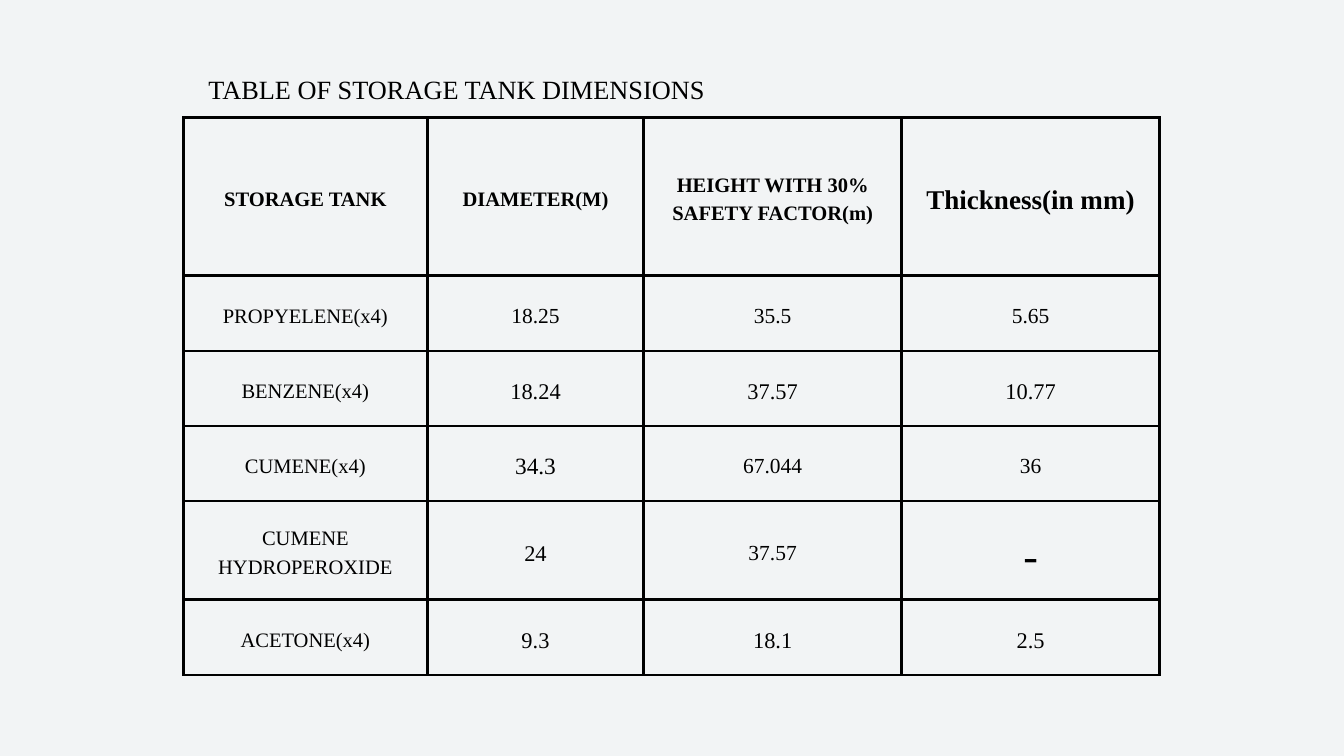
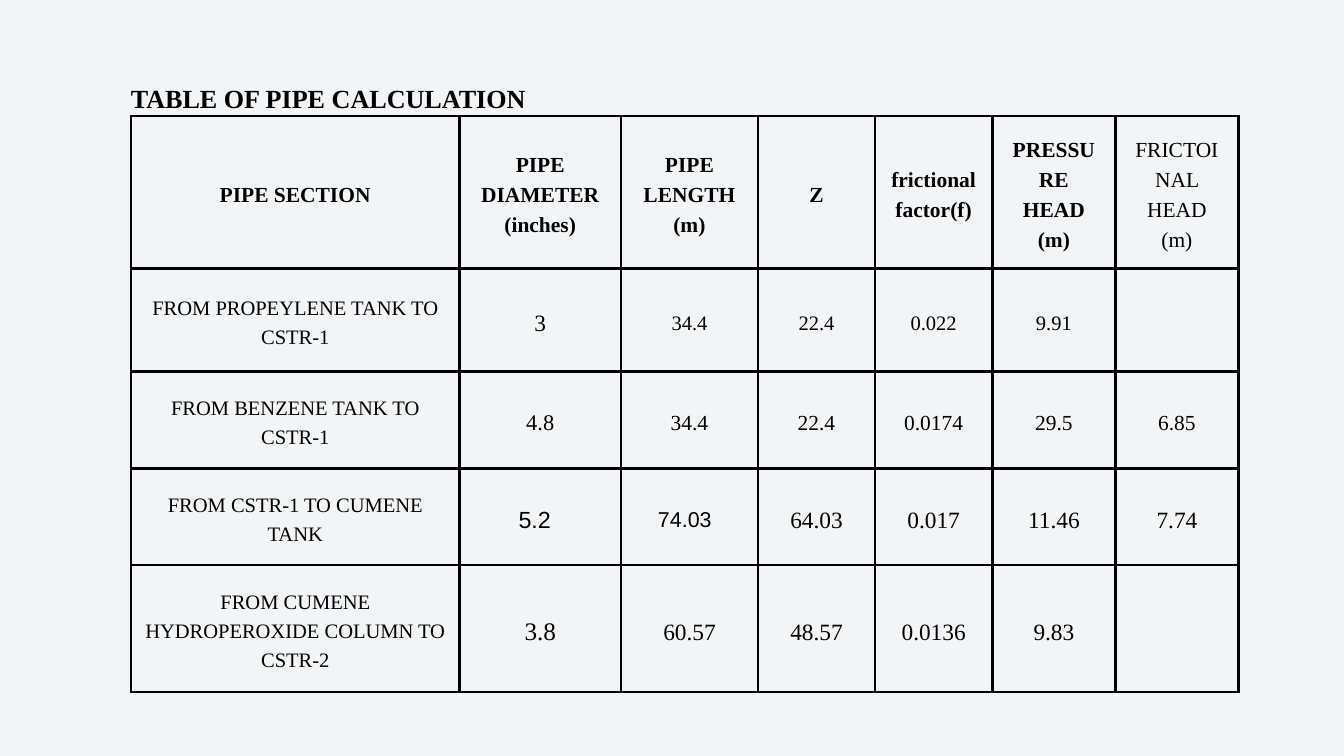
"""Build two slides of storage tank and pipe calculation tables."""
from lxml.etree import SubElement
from pptx import Presentation
from pptx.dml.color import RGBColor
from pptx.enum.text import MSO_ANCHOR, PP_ALIGN
from pptx.oxml.ns import qn
from pptx.util import Cm, Pt

BACKGROUND = RGBColor(0xF2, 0xF4, 0xF5)
INK = RGBColor(0, 0, 0)
SERIF = "Times New Roman"
LINE_RATIO = 1.4
CELL_MARGIN = Cm(0.53)
BORDER = Pt(3)


def write(frame, text, size=22, bold=False, font=SERIF, indent=None):
    """Write centred lines, or left-aligned ones when an indent is given."""
    frame.word_wrap = True
    for number, line in enumerate(text.split("\n")):
        paragraph = frame.paragraphs[0] if number == 0 else frame.add_paragraph()
        paragraph.alignment = PP_ALIGN.CENTER if indent is None else PP_ALIGN.LEFT
        if indent is not None:
            paragraph._p.get_or_add_pPr().set("marL", str(Cm(indent)))
        paragraph.line_spacing = Pt(size * LINE_RATIO)
        run = paragraph.add_run()
        run.text = line
        run.font.size = Pt(size)
        run.font.bold = bold
        run.font.name = font
        run.font.color.rgb = INK


def style_cell(cell):
    """Give a cell its margins, black borders and clear fill."""
    cell.vertical_anchor = MSO_ANCHOR.MIDDLE
    cell.margin_left = cell.margin_right = CELL_MARGIN
    cell.margin_top = cell.margin_bottom = CELL_MARGIN
    properties = cell._tc.get_or_add_tcPr()
    for side in ("a:lnL", "a:lnR", "a:lnT", "a:lnB"):
        edge = SubElement(properties, qn(side), w=str(BORDER))
        fill = SubElement(edge, qn("a:solidFill"))
        SubElement(fill, qn("a:srgbClr"), val=str(INK))
    cell.fill.background()


tanks = {
    "title": ("TABLE OF STORAGE TANK DIMENSIONS", {"size": 28.2}),
    "title_box": (6.93, 2.57, 20.65, 1.47),
    "corner": (6.93, 4.45),
    "columns": [9.22, 8.18, 9.75, 9.75],
    "heights": [5.97, 2.84, 2.84, 2.84, 3.73, 2.84],
    "header_size": 22,
    "header": ["STORAGE TANK", "DIAMETER(M)", "HEIGHT WITH 30% SAFETY FACTOR(m)",
               "Thickness(in mm)"],
    "rows": [
        (23, ["PROPYELENE(x4)", "18.25", "35.5", "5.65"]),
        (24, ["BENZENE(x4)", "18.24", "37.57", "10.77"]),
        (23, ["CUMENE(x4)", "34.3", "67.044", "36"]),
        (23, ["CUMENE HYDROPEROXIDE", "24", "37.57", "-"]),
        (24, ["ACETONE(x4)", "9.3", "18.1", "2.5"]),
    ],
    "exceptions": {
        (0, 3): {"size": 29},
        (3, 1): {"size": 25},
        (4, 1): {"size": 24},
        (4, 3): {"size": 47},
    },
}
pipes = {
    "title": ("TABLE OF PIPE CALCULATION", {"size": 28, "bold": True}),
    "title_box": (1.14, 2.9, 22.53, 1.5),
    "corner": (4.95, 4.39),
    "columns": [12.42, 6.1, 5.18, 4.42, 4.44, 4.65, 4.65],
    "heights": [5.77, 3.89, 3.66, 3.66, 4.8],
    "header_size": 23,
    "header": ["PIPE SECTION", "PIPE DIAMETER (inches)", "PIPE LENGTH\n(m)", "Z",
               "frictional factor(f)", "PRESSURE HEAD (m)", "FRICTOINAL HEAD (m)"],
    "rows": [
        (22, ["FROM PROPEYLENE TANK TO CSTR-1",
              "3", "34.4", "22.4", "0.022", "9.91", ""]),
        (23, ["FROM BENZENE TANK TO CSTR-1",
              "4.8", "34.4", "22.4", "0.0174", "29.5", "6.85"]),
        (25, ["FROM CSTR-1 TO CUMENE TANK",
              "5.2", "74.03", "64.03", "0.017", "11.46", "7.74"]),
        (25, ["FROM CUMENE HYDROPEROXIDE COLUMN TO CSTR-2",
              "3.8", "60.57", "48.57", "0.0136", "9.83", ""]),
    ],
    "exceptions": {
        (0, 6): {"bold": False},
        (1, 1): {"size": 25},
        (2, 1): {"size": 24},
        (3, 1): {"font": "Arial", "indent": 1.7},
        (3, 2): {"size": 23, "font": "Arial", "indent": 0.87},
        (4, 1): {"size": 27},
    },
}

deck = Presentation()
deck.slide_width, deck.slide_height = Cm(50.8), Cm(28.58)

for content in (tanks, pipes):
    slide = deck.slides.add_slide(deck.slide_layouts[6])
    slide.background.fill.solid()
    slide.background.fill.fore_color.rgb = BACKGROUND

    columns, heights = content["columns"], content["heights"]
    left, top = content["corner"]
    table = slide.shapes.add_table(
        len(heights), len(columns), Cm(left), Cm(top),
        Cm(sum(columns)), Cm(sum(heights))).table
    table.first_row = table.horz_banding = False
    for column, width in zip(table.columns, columns):
        column.width = Cm(width)
    for row, height in zip(table.rows, heights):
        row.height = Cm(height)

    lines = [(content["header_size"], content["header"])] + content["rows"]
    for row_number, (value_size, texts) in enumerate(lines):
        for column_number, text in enumerate(texts):
            cell = table.cell(row_number, column_number)
            style_cell(cell)
            is_header = row_number == 0
            is_label = column_number == 0 and not is_header
            look = {"size": 22 if is_label else value_size, "bold": is_header}
            look.update(content["exceptions"].get((row_number, column_number), {}))
            if text:
                write(cell.text_frame, text, **look)

    title = slide.shapes.add_textbox(*map(Cm, content["title_box"])).text_frame
    title.margin_left = title.margin_right = 0
    title.margin_top = title.margin_bottom = 0
    heading, heading_look = content["title"]
    write(title, heading, **heading_look)

deck.save("out.pptx")
